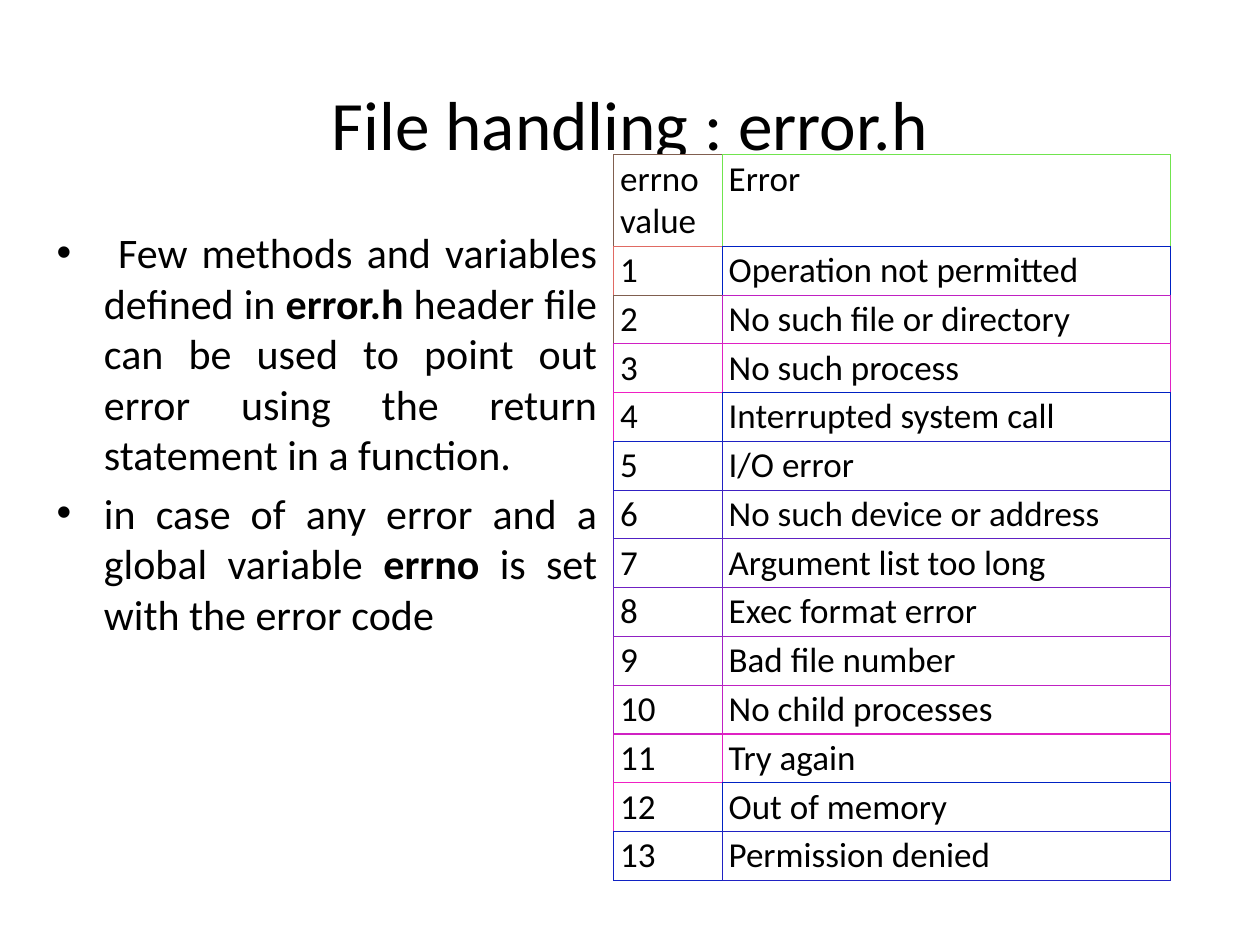
from dataclasses import dataclass

from lxml import etree
from pptx import Presentation
from pptx.enum import text
from pptx.oxml.ns import qn
from pptx.util import Pt

FONT = "Calibri"
COLORS = {
    "text": "000000",
    "cell": "FFFFFF",
    "brown": "805E4F",
    "green": "70E44E",
    "coral": "E06A63",
    "blue": "0020C3",
    "magenta": "C020C3",
}
ERRORS = [
    "Operation not permitted",
    "No such file or directory",
    "No such process",
    "Interrupted system call",
    "I/O error",
    "No such device or address",
    "Argument list too long",
    "Exec format error",
    "Bad file number",
    "No child processes",
    "Try again",
    "Out of memory",
    "Permission denied",
]
# Each bullet is a list of (text, bold) pieces.
BULLETS = [
    [(" Few methods and variables defined in ", False), ("error.h", True),
     (" header file can be used to point out error using the return "
      "statement in a function.", False)],
    [("in case of any error and a global variable ", False), ("errno", True),
     (" is set with the error code", False)],
]


@dataclass
class Row:
    value: str
    error: str
    borders: tuple[str, str]


def graded(step: int) -> str:
    """Border colour at a step of the gradually shifting sequence."""
    return f"{step % 16:X}02{step // 16}C3"


def make_rows() -> list[Row]:
    c = COLORS
    first = [(c["brown"], c["green"]), (c["coral"], c["blue"]),
             (c["brown"], c["magenta"])]
    later = [(graded(step), graded(step + 1))
             for step in range(13, 13 + 2 * (len(ERRORS) - 2), 2)]
    labels = [("errno value", "Error")]
    labels += [(str(n), error) for n, error in enumerate(ERRORS, 1)]
    return [Row(*label, pair) for label, pair in zip(labels, first + later)]


def add_text(p, content: str, *, size: float, bold: bool = False) -> None:
    r = p.add_run()
    r.text = content
    r.font.name, r.font.size, r.font.bold = FONT, Pt(size), bold
    r.font.color.rgb = rgb(COLORS["text"])


def rgb(color: str):
    from pptx.dml.color import RGBColor
    return RGBColor.from_string(color)


def place(sp, left: float, top: float, width: float, height: float) -> None:
    sp.left, sp.top, sp.width, sp.height = map(Pt, (left, top, width, height))


def set_borders(cell, **sides: str) -> None:
    """Draw cell borders; sides are given in the order L, R, T, B."""
    tc_pr = cell._tc.get_or_add_tcPr()
    for side, color in sides.items():
        ln = etree.SubElement(tc_pr, qn(f"a:ln{side}"), w=str(Pt(0.75)))
        fill = etree.SubElement(ln, qn("a:solidFill"))
        etree.SubElement(fill, qn("a:srgbClr"), val=color)


def fill_cell(cell, content: str) -> None:
    cell.margin_left = cell.margin_right = Pt(3.6)
    cell.margin_top = cell.margin_bottom = Pt(1.7)
    cell.fill.solid()
    cell.fill.fore_color.rgb = rgb(COLORS["cell"])
    add_text(cell.text_frame.paragraphs[0], content, size=20)


def add_title(s) -> None:
    sp = s.shapes.title
    place(sp, 36, 21.6, 648, 44)
    tf = sp.text_frame
    tf.auto_size = text.MSO_AUTO_SIZE.NONE
    tf.vertical_anchor = text.MSO_ANCHOR.TOP
    tf.margin_top, tf.margin_bottom = Pt(24.7), Pt(0)
    p = tf.paragraphs[0]
    p.alignment = text.PP_ALIGN.CENTER
    add_text(p, "File handling : error.h", size=39.6)


def add_bullets(s) -> None:
    sp = s.placeholders[1]
    place(sp, 25.2, 126, 323.3, 388)
    tf = sp.text_frame
    tf.auto_size = text.MSO_AUTO_SIZE.NONE
    for i, pieces in enumerate(BULLETS):
        p = tf.add_paragraph() if i else tf.paragraphs[0]
        p.alignment = text.PP_ALIGN.JUSTIFY
        for content, bold in pieces:
            add_text(p, content, size=24, bold=bold)


def add_error_table(s, rows: list[Row]) -> None:
    widths, header_height, row_height = (62, 256), 52.2, 27.2
    height = header_height + row_height * (len(rows) - 1)
    table = s.shapes.add_table(len(rows), 2, Pt(350.8), Pt(88.4),
                               Pt(sum(widths)), Pt(height)).table
    table.first_row = table.horz_banding = False
    for column, width in zip(table.columns, widths):
        column.width = Pt(width)
    for i, (row, below) in enumerate(zip(rows, rows[1:] + rows[-1:])):
        table.rows[i].height = Pt(row_height if i else header_height)
        for j, content in enumerate((row.value, row.error)):
            cell, own = table.cell(i, j), row.borders[j]
            set_borders(cell, L=own, R=row.borders[1], T=own,
                        B=below.borders[j])
            fill_cell(cell, content)


def main() -> None:
    prs = Presentation()
    prs.slide_width, prs.slide_height = Pt(720), Pt(540)
    s = prs.slides.add_slide(prs.slide_layouts[1])
    add_title(s)
    add_bullets(s)
    add_error_table(s, make_rows())
    prs.save("out.pptx")


if __name__ == "__main__":
    main()
